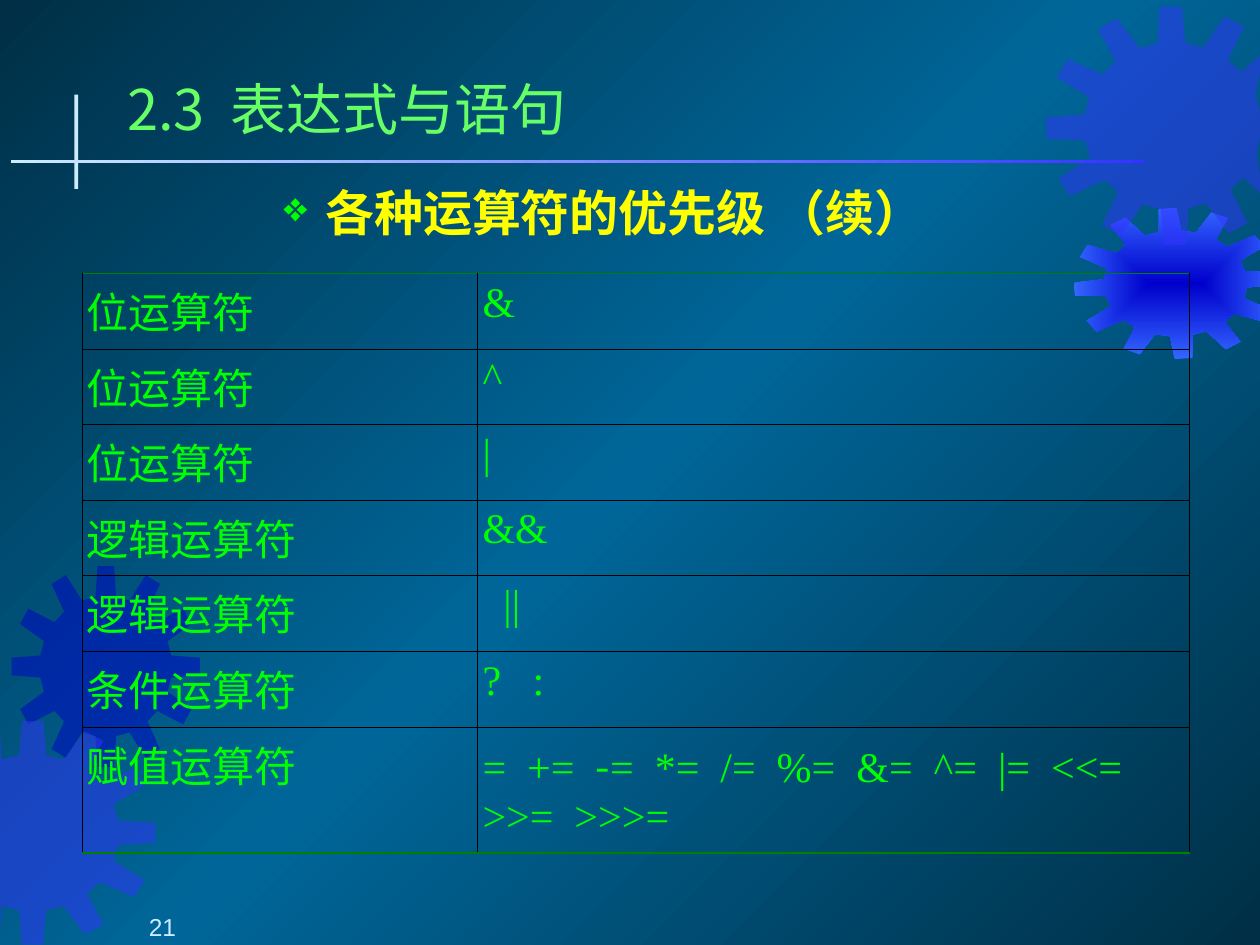
import math

import pptx
import pptx.dml.color
import pptx.enum.shapes
import pptx.enum.text
import pptx.oxml
import pptx.oxml.ns
import pptx.util

Inches, Pt, qn = pptx.util.Inches, pptx.util.Pt, pptx.oxml.ns.qn
ALIGN, ANCHOR = pptx.enum.text.PP_ALIGN, pptx.enum.text.MSO_ANCHOR
NS = 'xmlns:a="http://schemas.openxmlformats.org/drawingml/2006/main"'
CJK, SERIF, SANS = "Noto Sans CJK SC", "Times New Roman", "Arial"

NAVY, TEAL = "002F46", "006699"
DARK_BLUE, BLUE, LIGHT_BLUE = "0000CC", "3333FF", "3366FF"
PALE, LIME, GREEN, YELLOW = "CCECFF", "66FF66", "00FF00", "FFFF00"
THIN_BLACK, THICK_GREEN = ("000000", 0.45), ("008000", 0.96)

SLIDE_W, SLIDE_H = 10, 7.5
TEETH = 12
ROOT_RATIO = 0.7
ROOT_HALF_ANGLE, TIP_HALF_ANGLE = 9, 5
FROM_CENTER = '<a:path path="rect"><a:fillToRect l="50000" t="50000" r="50000" b="50000"/></a:path>'

OPERATORS = [
    ("位运算符", ["&"]),
    ("位运算符", ["^"]),
    ("位运算符", ["|"]),
    ("逻辑运算符", ["&&"]),
    ("逻辑运算符", ["  ||"]),
    ("条件运算符", ["?   :"]),
    ("赋值运算符", ["=  +=  ", "-", "=  *=  /=  %=  &=  ^=  |=  <<=  >>=  >>>="]),
]
COLUMN_WIDTHS = (3.14, 5.65)
ROW_HEIGHTS = [0.6] * (len(OPERATORS) - 1) + [1]


def rgb(color):
    """Turn a hex string into a colour."""
    return pptx.dml.color.RGBColor.from_string(color)


def xml(tag, attributes="", children=""):
    """Build a DrawingML element."""
    return pptx.oxml.parse_xml(f"<a:{tag} {NS} {attributes}>{children}</a:{tag}>")


def linear(angle):
    """Return the direction element of a linear gradient."""
    return f'<a:lin ang="{angle * 60000}" scaled="0"/>'


def set_gradient(fill, parent, colors, direction):
    """Fill a background or shape with evenly spaced gradient colours."""
    fill.solid()
    step = 100000 // (len(colors) - 1)
    stops = "".join(f'<a:gs pos="{i * step}"><a:srgbClr val="{color}"/></a:gs>'
                    for i, color in enumerate(colors))
    gradient = xml("gradFill", children=f"<a:gsLst>{stops}</a:gsLst>{direction}")
    parent.replace(parent.find(qn("a:solidFill")), gradient)


def paint(sp, color, alpha=100):
    """Give a shape a plain fill with no line or shadow."""
    sp.shadow.inherit = False
    sp.line.fill.background()
    sp.fill.solid()
    sp.fill.fore_color.rgb = rgb(color)
    if alpha < 100:
        clr = sp._element.spPr.find(qn("a:solidFill"))[0]
        clr.append(xml("alpha", f'val="{alpha * 1000}"'))


def gear_points(cx, cy, rx, ry, turn, left, right):
    """Trace root, tip, tip, root of each tooth clockwise, cut off at left and right."""
    corners = [(ROOT_RATIO, -ROOT_HALF_ANGLE), (1, -TIP_HALF_ANGLE),
               (1, TIP_HALF_ANGLE), (ROOT_RATIO, ROOT_HALF_ANGLE)]
    points = []
    for tooth in range(TEETH):
        for radius, offset in corners:
            angle = math.radians(turn + tooth * 360 / TEETH + offset)
            x = cx + rx * radius * math.sin(angle)
            y = cy - ry * radius * math.cos(angle)
            points.append((Inches(min(max(x, left), right)), Inches(y)))
    return points


def add_gear(s, cx, cy, rx, ry, color, alpha=100, turn=0, left=0, right=SLIDE_W):
    """Draw a gear around a centre with the given outer radii."""
    first, *rest = gear_points(cx, cy, rx, ry, turn, left, right)
    builder = s.shapes.build_freeform(*first)
    builder.add_line_segments(rest, close=True)
    sp = builder.convert_to_shape()
    paint(sp, color, alpha)
    return sp


def add_bar(s, x, y, w, h, color):
    """Add a thin filled bar."""
    sp = s.shapes.add_shape(pptx.enum.shapes.MSO_SHAPE.RECTANGLE,
                            Inches(x), Inches(y), Inches(w), Inches(h))
    paint(sp, color)
    return sp


def add_run(p, text, size, font, color, bold=False):
    """Append a formatted run, with its East Asian font."""
    r = p.add_run()
    r.text = text
    r.font.size, r.font.name, r.font.bold = Pt(size), font, bold
    r.font.color.rgb = rgb(color)
    latin = r._r.get_or_add_rPr().find(qn("a:latin"))
    latin.addnext(xml("ea", f'typeface="{CJK}"'))


def set_margins(frame, left, top, right, bottom):
    """Set the inner margins of a text frame or cell."""
    frame.margin_left, frame.margin_top = Inches(left), Inches(top)
    frame.margin_right, frame.margin_bottom = Inches(right), Inches(bottom)


def add_text(s, box, margins, anchor, align, indent=0, first=0):
    """Add a wrapping text box and return its paragraph."""
    tf = s.shapes.add_textbox(*map(Inches, box)).text_frame
    tf.word_wrap = True
    tf.vertical_anchor = anchor
    set_margins(tf, *margins)
    p = tf.paragraphs[0]
    p.alignment = align
    pPr = p._p.get_or_add_pPr()
    pPr.set("marL", str(Inches(indent)))
    pPr.set("indent", str(Inches(first)))
    return p


def add_bullet(p, char, color, percent):
    """Give a paragraph a coloured bullet."""
    pPr = p._p.get_or_add_pPr()
    pPr.append(xml("buClr", children=f'<a:srgbClr val="{color}"/>'))
    pPr.append(xml("buSzPct", f'val="{percent * 1000}"'))
    pPr.append(xml("buChar", f'char="{char}"'))


def set_borders(cell, **sides):
    """Draw cell borders, each given as a colour and a width."""
    tcPr = cell._tc.get_or_add_tcPr()
    for i, side in enumerate("LRTB"):
        color, width = sides.get(side, THIN_BLACK)
        line = f'<a:solidFill><a:srgbClr val="{color}"/></a:solidFill>'
        tcPr.insert(i, xml(f"ln{side}", f'w="{Pt(width)}"', line))


def add_operator_table(s, x, y):
    """Add the table of operators by priority."""
    table = s.shapes.add_table(len(OPERATORS), len(COLUMN_WIDTHS), Inches(x), Inches(y),
                               Inches(sum(COLUMN_WIDTHS)), Inches(sum(ROW_HEIGHTS))).table
    table.first_row = table.horz_banding = False
    for column, width in zip(table.columns, COLUMN_WIDTHS):
        column.width = Inches(width)
    outer = {0: {"T": THICK_GREEN}, len(OPERATORS) - 1: {"B": THICK_GREEN}}
    for i, (kind, symbols) in enumerate(OPERATORS):
        table.rows[i].height = Inches(ROW_HEIGHTS[i])
        for cell, texts in zip(table.rows[i].cells, ([kind], symbols)):
            cell.fill.background()
            set_margins(cell, 0.04, 0.05, 0.04, 0.05)
            set_borders(cell, **outer.get(i, {}))
            for text in texts:
                font = CJK if text == "-" else SERIF
                add_run(cell.text_frame.paragraphs[0], text, 24, font, GREEN)


def add_backdrop(s):
    """Add the background, the four gears and the crossing bars."""
    fill = s.background.fill
    set_gradient(fill, fill._xPr, [NAVY, TEAL, NAVY], linear(225))
    add_gear(s, 0.84, 5.29, 0.75, 0.8, DARK_BLUE, alpha=50)
    add_gear(s, 0.26, 6.61, 0.98, 0.89, BLUE, alpha=50)
    gear = add_gear(s, 9.33, 2.25, 0.81, 0.6, DARK_BLUE, turn=-4.5, right=10.14)
    set_gradient(gear.fill, gear._element.spPr, [DARK_BLUE, LIGHT_BLUE], FROM_CENTER)
    add_gear(s, 9.31, 1, 1.01, 0.95, BLUE, alpha=50, turn=-1)
    add_bar(s, 0.59, 0.75, 0.03, 0.75, PALE)
    rule = add_bar(s, 0.09, 1.27, 9, 0.02, BLUE)
    set_gradient(rule.fill, rule._element.spPr, [BLUE, PALE], linear(180))


def main():
    """Build and save the slide."""
    prs = pptx.Presentation()
    prs.slide_width, prs.slide_height = Inches(SLIDE_W), Inches(SLIDE_H)
    s = prs.slides.add_slide(prs.slide_layouts[6])
    add_backdrop(s)

    title = add_text(s, (0.87, 0.54, 8.84, 0.63), (0.14, 0.05, 0.04, 0.05),
                     ANCHOR.MIDDLE, ALIGN.LEFT)
    add_run(title, "2.3  表达式与语句", 32, CJK, LIME)

    heading = add_text(s, (2.05, 1.41, 5.32, 0.55), (0.04, 0.04, 0, 0.04),
                       ANCHOR.TOP, ALIGN.CENTER, indent=0.45, first=-0.33)
    add_bullet(heading, "❖", GREEN, 85)
    add_run(heading, "各种运算符的优先级 （续）", 28, SERIF, YELLOW, bold=True)

    add_operator_table(s, 0.65, 2.17)

    number = add_text(s, (0, 7.05, 2.08, 0.42), (0.1, 0, 0.1, 0),
                      ANCHOR.BOTTOM, ALIGN.CENTER, indent=0.5)
    add_run(number, "21", 14, SANS, PALE)
    prs.save("out.pptx")


if __name__ == "__main__":
    main()
